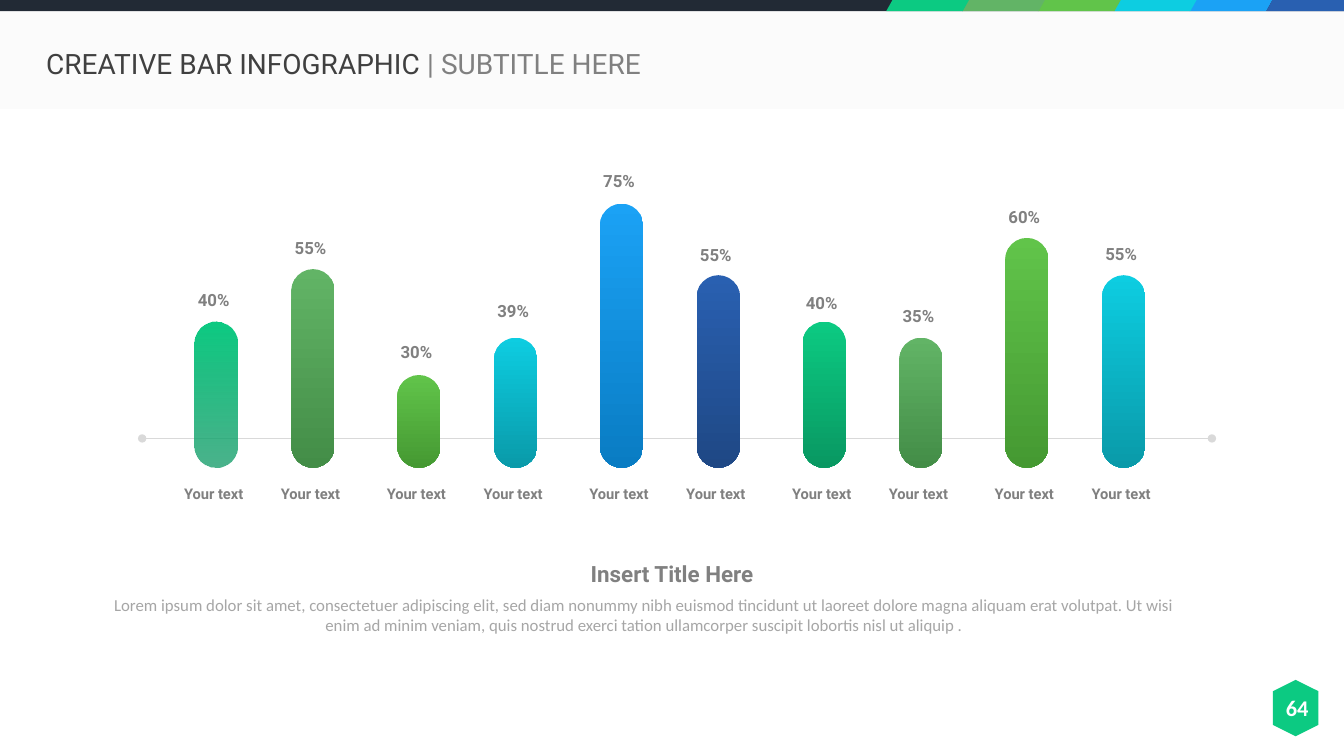
from dataclasses import dataclass

from lxml import etree
from pptx import Presentation
from pptx.dml.color import RGBColor
from pptx.enum.shapes import MSO_CONNECTOR, MSO_SHAPE
from pptx.enum.text import MSO_ANCHOR, MSO_AUTO_SIZE, PP_ALIGN
from pptx.oxml.ns import qn
from pptx.shapes.autoshape import Shape
from pptx.slide import Slide
from pptx.text.text import _Paragraph as Para
from pptx.util import Inches, Pt

RECT = MSO_SHAPE.RECTANGLE
ROUND = MSO_SHAPE.ROUNDED_RECTANGLE
SLANT = MSO_SHAPE.PARALLELOGRAM
HEXAGON = MSO_SHAPE.HEXAGON
LINE = MSO_CONNECTOR.STRAIGHT
CENTER = PP_ALIGN.CENTER
MIDDLE = MSO_ANCHOR.MIDDLE
GROW = MSO_AUTO_SIZE.SHAPE_TO_FIT_TEXT

WIDE, HIGH = 13.33, 7.5
STRIP = 0.11
GRAY = "808080"
EMERALD = ("0CCA82", "099862")
SAGE = ("62B466", "438D47")
GREEN = ("61C44A", "459932")
CYAN = ("0DCDE1", "0A9AA9")
SKY = ("1BA2F5", "097CC3")
NAVY = ("2960B1", "1F4885")
LOREM = (
    "Lorem ipsum dolor sit amet, consectetuer adipiscing elit, sed diam nonummy nibh "
    "euismod tincidunt ut laoreet dolore magna aliquam erat volutpat. Ut wisi enim ad "
    "minim veniam, quis nostrud exerci tation ullamcorper suscipit lobortis nisl ut aliquip ."
)

BASE = 4.64
BAR_WIDE = 0.43
FIRST = 1.93
PAIR_STEP, BAR_STEP = 2.01, 0.96
TEXT_WIDE = 1.06
TEXT_SHIFT = -0.34


@dataclass
class Box:
    left: float
    top: float
    width: float
    height: float

    def emu(self) -> tuple[int, int, int, int]:
        return Inches(self.left), Inches(self.top), Inches(self.width), Inches(self.height)


@dataclass
class Bar:
    value: str
    top: float
    label_top: float
    colors: tuple[str, str]
    fade: int = 100


BARS = [
    Bar("40%", 3.19, 2.83, EMERALD, 73),
    Bar("55%", 2.67, 2.31, SAGE),
    Bar("30%", 3.72, 3.34, GREEN),
    Bar("39%", 3.35, 2.93, CYAN),
    Bar("75%", 2.02, 1.64, SKY),
    Bar("55%", 2.73, 2.38, NAVY),
    Bar("40%", 3.19, 2.86, EMERALD),
    Bar("35%", 3.35, 2.98, SAGE),
    Bar("60%", 2.36, 2.0, GREEN),
    Bar("55%", 2.73, 2.37, CYAN),
]


def rgb(code: str) -> RGBColor:
    return RGBColor.from_string(code)


def set_alpha(shape: Shape, percent: int) -> None:
    """Make the last colour of the shape's fill partly transparent."""
    color = list(shape._element.spPr.iter(qn("a:srgbClr")))[-1]
    etree.SubElement(color, qn("a:alpha"), val=str(percent * 1000))


def paint(shape: Shape, code: str) -> None:
    shape.shadow.inherit = False
    shape.line.fill.background()
    shape.fill.solid()
    shape.fill.fore_color.rgb = rgb(code)


def add_solid(slide: Slide, kind: MSO_SHAPE, box: Box, code: str) -> Shape:
    shape = slide.shapes.add_shape(kind, *box.emu())
    paint(shape, code)
    return shape


def set_font(para: Para, size: float, code: str, face: str, bold: bool) -> None:
    para.font.size = Pt(size)
    para.font.color.rgb = rgb(code)
    para.font.name = face
    para.font.bold = bold


def add_text(slide: Slide, box: Box, text: str, size: float, code: str = GRAY,
             face: str = "Roboto", bold: bool = True, wrap: bool = True) -> None:
    frame = slide.shapes.add_textbox(*box.emu()).text_frame
    frame.word_wrap = wrap
    frame.auto_size = GROW
    para = frame.paragraphs[0]
    para.text = text
    para.alignment = CENTER
    set_font(para, size, code, face, bold)


def draw_header(slide: Slide) -> None:
    band = add_solid(slide, RECT, Box(0, STRIP, WIDE, 0.97), "F2F2F2")
    set_alpha(band, 29)
    add_solid(slide, RECT, Box(0, 0, WIDE, STRIP), "222A35")
    tabs = [EMERALD, SAGE, GREEN, CYAN, SKY]
    for i, (code, _) in reversed(list(enumerate(tabs))):
        tab = add_solid(slide, SLANT, Box(8.79 + 0.7525 * i, 0, 0.82, STRIP), code)
        tab.adjustments[0] = 0.56
    path = slide.shapes.build_freeform(Inches(12.62), 0)
    path.add_line_segments([(Inches(x), Inches(y))
                            for x, y in ((WIDE, 0), (WIDE, STRIP), (12.56, STRIP))])
    paint(path.convert_to_shape(), NAVY[0])


def draw_title(slide: Slide) -> None:
    frame = slide.shapes.add_textbox(*Box(0.36, 0.37, 7.42, 0.55).emu()).text_frame
    frame.word_wrap = True
    frame.vertical_anchor = MIDDLE
    para = frame.paragraphs[0]
    para.line_spacing = 0.9
    para.font.size = Pt(20)
    para.font.name = "Roboto"
    for text, code in (("CREATIVE BAR INFOGRAPHIC ", "404040"), ("| SUBTITLE HERE", GRAY)):
        run = para.add_run()
        run.text = text
        run.font.color.rgb = rgb(code)


def draw_badge(slide: Slide) -> None:
    add_solid(slide, HEXAGON, Box(12.57, 6.8, 0.56, 0.45), EMERALD[0]).rotation = 90
    add_text(slide, Box(12.56, 6.84, 0.61, 0.37), "64", 16, "FFFFFF", "Calibri")


def draw_axis(slide: Slide) -> None:
    y = Inches(4.35)
    axis = slide.shapes.add_connector(LINE, Inches(1.41), y, Inches(12.02), y)
    axis.line.color.rgb = rgb("D9D9D9")
    axis.line.width = Pt(0.5)
    for end in ("a:headEnd", "a:tailEnd"):
        etree.SubElement(axis.line._get_or_add_ln(), qn(end), type="oval")
    etree.SubElement(axis._element.spPr, qn("a:effectLst"))


def draw_bar(slide: Slide, bar: Bar, left: float) -> None:
    box = Box(left, bar.top, BAR_WIDE, BASE - bar.top)
    shape = add_solid(slide, ROUND, box, bar.colors[0])
    shape.adjustments[0] = 0.5
    shape.fill.gradient()
    shape.fill.gradient_angle = 270
    for stop, code in zip(shape.fill.gradient_stops, bar.colors):
        stop.color.rgb = rgb(code)
    if bar.fade < 100:
        set_alpha(shape, bar.fade)
    side = left + TEXT_SHIFT
    add_text(slide, Box(side, 4.76, TEXT_WIDE, 0.28), "Your text", 10.5)
    add_text(slide, Box(side, bar.label_top, TEXT_WIDE, 0.3), bar.value, 12)


def main() -> None:
    deck = Presentation()
    deck.slide_width, deck.slide_height = Inches(WIDE), Inches(HIGH)
    slide = deck.slides.add_slide(deck.slide_layouts[6])
    draw_header(slide)
    draw_badge(slide)
    draw_axis(slide)
    for i, bar in enumerate(BARS):
        pair, side = divmod(i, 2)
        draw_bar(slide, bar, FIRST + PAIR_STEP * pair + BAR_STEP * side)
    add_text(slide, Box(5.76, 5.51, 1.81, 0.37), "Insert Title Here", 16, wrap=False)
    add_text(slide, Box(0.94, 5.85, 10.9, 0.5), LOREM, 12, "A6A6A6", "Calibri", bold=False)
    draw_title(slide)
    deck.save("out.pptx")


if __name__ == "__main__":
    main()
